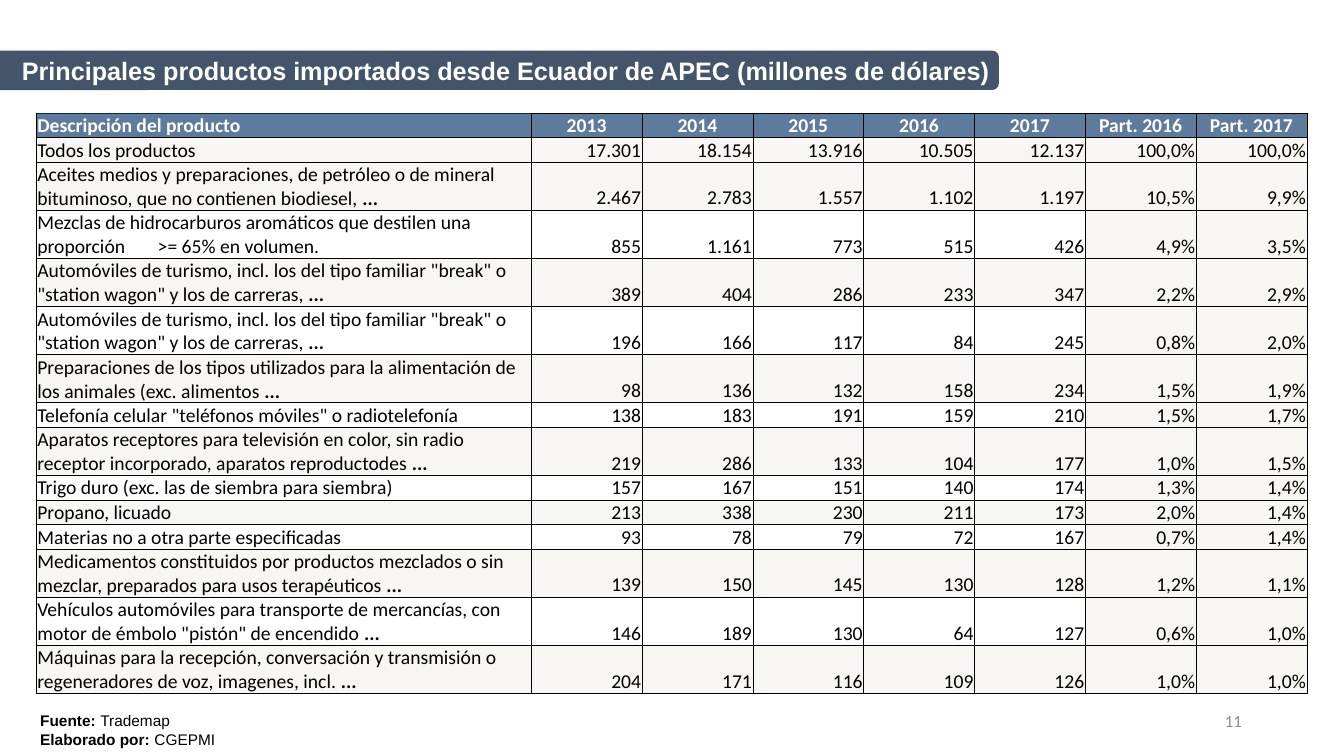
from dataclasses import dataclass

from lxml.etree import SubElement
from pptx import Presentation
from pptx.dml.color import RGBColor
from pptx.enum.shapes import MSO_SHAPE as SHAPE
from pptx.enum.text import MSO_ANCHOR as ANCHOR, PP_ALIGN as ALIGN
from pptx.oxml.ns import qn
from pptx.util import Pt


@dataclass(frozen=True)
class Theme:
    banner: str = "44546A"
    header: str = "5D7B9D"
    header_edge: str = "002B54"
    band: str = "F7F6F3"
    white: str = "FFFFFF"
    black: str = "000000"
    gray: str = "8C8C8C"
    heading_font: str = "Arial"
    table_font: str = "Calibri"
    title_size: float = 18
    table_size: float = 14
    number_size: float = 12
    source_size: float = 11


T = Theme()
MORE = "..."
YEARS = 5
HEADINGS = ["Descripción del producto", "2013", "2014", "2015", "2016", "2017",
            "Part. 2016", "Part. 2017"]
PRODUCTS = [
    ("Todos los productos", "17.301 18.154 13.916 10.505 12.137 100,0% 100,0%"),
    ("Aceites medios y preparaciones, de petróleo o de mineral bituminoso, "
     "que no contienen biodiesel, ...", "2.467 2.783 1.557 1.102 1.197 10,5% 9,9%"),
    ("Mezclas de hidrocarburos aromáticos que destilen una proporción\t>= 65% en volumen.",
     "855 1.161 773 515 426 4,9% 3,5%"),
    ('Automóviles de turismo, incl. los del tipo familiar "break" o "station wagon" '
     "y los de carreras, ...", "389 404 286 233 347 2,2% 2,9%"),
    ('Automóviles de turismo, incl. los del tipo familiar "break" o "station wagon" '
     "y los de carreras, ...", "196 166 117 84 245 0,8% 2,0%"),
    ("Preparaciones de los tipos utilizados para la alimentación de los animales "
     "(exc. alimentos ...", "98 136 132 158 234 1,5% 1,9%"),
    ('Telefonía celular "teléfonos móviles" o radiotelefonía',
     "138 183 191 159 210 1,5% 1,7%"),
    ("Aparatos receptores para televisión en color, sin radio receptor incorporado, "
     "aparatos reproductodes ...", "219 286 133 104 177 1,0% 1,5%"),
    ("Trigo duro (exc. las de siembra para siembra)", "157 167 151 140 174 1,3% 1,4%"),
    ("Propano, licuado", "213 338 230 211 173 2,0% 1,4%"),
    ("Materias no a otra parte especificadas", "93 78 79 72 167 0,7% 1,4%"),
    ("Medicamentos constituidos por productos mezclados o sin mezclar, preparados "
     "para usos terapéuticos ...", "139 150 145 130 128 1,2% 1,1%"),
    ("Vehículos automóviles para transporte de mercancías, con motor de émbolo "
     '"pistón" de encendido ...', "146 189 130 64 127 0,6% 1,0%"),
    ("Máquinas para la recepción, conversación y transmisión o regeneradores de voz, "
     "imagenes, incl. ...", "204 171 116 109 126 1,0% 1,0%"),
]


def add_text(p, text, font=T.table_font, size=T.table_size, color=T.black, bold=False):
    r = p.add_run()
    r.text = text
    r.font.name = font
    r.font.size = Pt(size)
    r.font.bold = bold
    r.font.color.rgb = RGBColor.from_string(color)


def add_box(slide, left, top, width, height, anchor=ANCHOR.TOP):
    tf = slide.shapes.add_textbox(Pt(left), Pt(top), Pt(width), Pt(height)).text_frame
    tf.word_wrap = True
    tf.vertical_anchor = anchor
    return tf


def add_banner(slide, width, height, top):
    sp = slide.shapes.add_shape(
        SHAPE.ROUND_2_SAME_RECTANGLE, Pt((width - height) / 2),
        Pt(top + (height - width) / 2), Pt(height), Pt(width))
    sp.rotation = 90
    sp.shadow.inherit = False
    sp.fill.solid()
    sp.fill.fore_color.rgb = RGBColor.from_string(T.banner)
    sp.line.fill.background()


def set_borders(cell, top_color=T.black):
    tc_pr = cell._tc.get_or_add_tcPr()
    for side in "LRTB":
        ln = SubElement(tc_pr, qn(f"a:ln{side}"), w=str(Pt(0.5)))
        fill = SubElement(ln, qn("a:solidFill"))
        SubElement(fill, qn("a:srgbClr"), val=top_color if side == "T" else T.black)


def add_tab_stop(p, position):
    tabs = SubElement(p._p.get_or_add_pPr(), qn("a:tabLst"))
    SubElement(tabs, qn("a:tab"), pos=str(Pt(position)), algn="l")


def fill_cell(cell, text, fill, align, anchor=ANCHOR.BOTTOM, top_color=T.black, **fmt):
    cell.margin_left = cell.margin_right = cell.margin_top = Pt(0.7)
    cell.margin_bottom = 0
    cell.vertical_anchor = anchor
    set_borders(cell, top_color)
    cell.fill.solid()
    cell.fill.fore_color.rgb = RGBColor.from_string(fill)
    p = cell.text_frame.paragraphs[0]
    p.alignment = align
    if "\t" in text:
        add_tab_stop(p, 86)
    add_text(p, text.removesuffix(MORE), **fmt)
    if text.endswith(MORE):
        add_text(p, MORE, bold=True)


def add_products(slide):
    table = slide.shapes.add_table(
        len(PRODUCTS) + 1, len(HEADINGS), Pt(26), Pt(80.7), Pt(907.5), Pt(414.6)).table
    table.horz_banding = False
    for i, column in enumerate(table.columns):
        column.width = Pt(79.15 if i else 353.5)
    table.rows[0].height = Pt(17.5)
    for col, heading in enumerate(HEADINGS):
        fill_cell(table.cell(0, col), heading, T.header,
                  ALIGN.CENTER if col else ALIGN.LEFT, ANCHOR.MIDDLE,
                  T.black if col else T.header_edge, color=T.white, bold=True)
    for row, (product, values) in enumerate(PRODUCTS, 1):
        table.rows[row].height = Pt(34.4 if len(product) > 60 else 17.5)
        for col, text in enumerate([product, *values.split()]):
            banded = row == 1 or row % 2 == 0 or col > YEARS
            fill_cell(table.cell(row, col), text, T.band if banded else T.white,
                      ALIGN.RIGHT if col else ALIGN.LEFT)


def add_sources(slide):
    tf = add_box(slide, 21.6, 504.7, 402.5, 35.3)
    lines = [("Fuente: ", "Trademap"), ("Elaborado por: ", "CGEPMI")]
    for i, (label, name) in enumerate(lines):
        p = tf.add_paragraph() if i else tf.paragraphs[0]
        add_text(p, label, font=T.heading_font, size=T.source_size, bold=True)
        add_text(p, name, font=T.heading_font, size=T.source_size)


def add_page_number(slide):
    p = add_box(slide, 678.2, 500.4, 216, 28.8, ANCHOR.MIDDLE).paragraphs[0]
    p.alignment = ALIGN.RIGHT
    add_text(p, "11", size=T.number_size, color=T.gray)


def add_title(slide):
    add_banner(slide, 713.5, 28.1, 36.2)
    p = add_box(slide, 8.6, 36, 736.6, 49).paragraphs[0]
    add_text(p, "Principales productos importados desde Ecuador de APEC (millones de dólares)",
             font=T.heading_font, size=T.title_size, color=T.white, bold=True)


def main():
    prs = Presentation()
    prs.slide_width, prs.slide_height = Pt(960), Pt(540)
    slide = prs.slides.add_slide(prs.slide_layouts[6])
    add_sources(slide)
    add_page_number(slide)
    add_products(slide)
    add_title(slide)
    prs.save("out.pptx")


if __name__ == "__main__":
    main()
